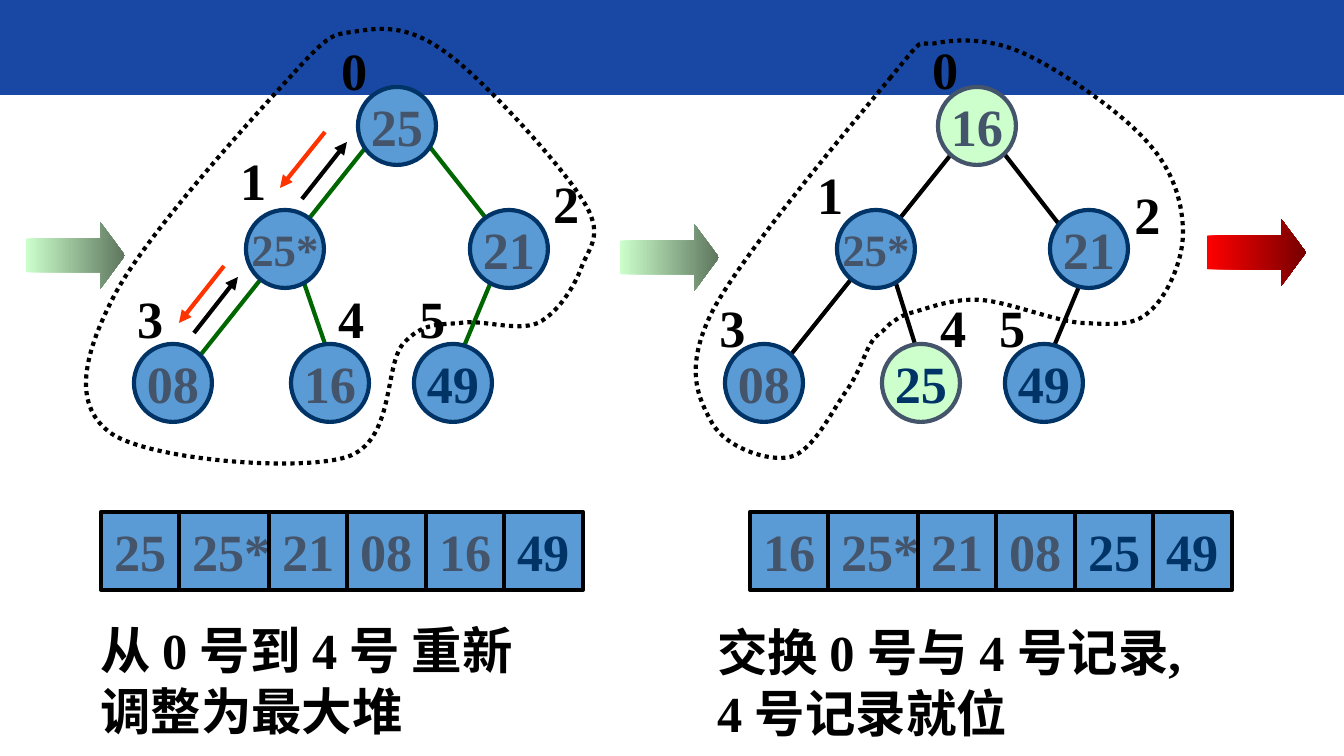
from lxml import etree
from pptx import Presentation
from pptx.dml.color import RGBColor
from pptx.enum.dml import MSO_LINE
from pptx.enum.shapes import MSO_CONNECTOR, MSO_SHAPE
from pptx.enum.text import MSO_ANCHOR, PP_ALIGN
from pptx.oxml.ns import qn
from pptx.util import Pt

RECT, OVAL, ARROW = MSO_SHAPE.RECTANGLE, MSO_SHAPE.OVAL, MSO_SHAPE.RIGHT_ARROW
STRAIGHT, DOTTED = MSO_CONNECTOR.STRAIGHT, MSO_LINE.ROUND_DOT
MIDDLE, CENTER, LEFT = MSO_ANCHOR.MIDDLE, PP_ALIGN.CENTER, PP_ALIGN.LEFT
EMU_PER_PX = 914400 / 134.4
FONT = "Times New Roman"
BLACK, NAVY, SLATE, BLUE, MINT = "000000", "003366", "44546A", "5B9BD5", "CCFFCC"
GREEN, ORANGE = "006600", "FF3300"
NODE = 78
DIVIDERS = [78, 168, 246, 325, 403]

LEFT_EDGES = [(493, 277, 460, 356), (426, 142, 515, 255),
              (302, 277, 325, 344), (370, 142, 191, 367)]
RIGHT_EDGES = [(1083, 277, 1050, 356), (995, 142, 1083, 255),
               (894, 277, 915, 344), (961, 142, 781, 367)]
LEFT_NODES = [("25", 358, 87, BLUE, SLATE), ("25*", 246, 210, BLUE, SLATE),
              ("21", 470, 210, BLUE, SLATE), ("08", 134, 344, BLUE, SLATE),
              ("16", 291, 344, BLUE, SLATE), ("49", 414, 344, BLUE, NAVY)]
RIGHT_NODES = [("16", 938, 87, MINT, SLATE), ("25*", 837, 210, BLUE, SLATE),
               ("21", 1050, 210, BLUE, SLATE), ("08", 725, 344, BLUE, SLATE),
               ("25", 882, 344, MINT, NAVY), ("49", 1005, 344, BLUE, NAVY)]
LEFT_LABELS = [(328, 32), (227, 142), (540, 165), (124, 280), (325, 280), (406, 280)]
RIGHT_LABELS = [(919, 31), (804, 156), (1121, 176), (706, 289), (927, 289), (986, 289)]
MOVES = [(194, 333, 238, 277, BLACK), (302, 199, 347, 142, BLACK),
         (325, 132, 280, 188, ORANGE), (224, 266, 179, 323, ORANGE)]
LEFT_OUTLINE = [
    (292, 75), (250, 121), (142, 239), (112, 300), (82, 359), (73, 407), (112, 434),
    (152, 460), (298, 472), (347, 457), (395, 441), (384, 367), (403, 344),
    (422, 323), (437, 325), (460, 323), (481, 319), (517, 332), (538, 323),
    (558, 313), (575, 286), (582, 266), (590, 246), (605, 234), (582, 199),
    (560, 164), (485, 81), (448, 54), (411, 26), (384, 27), (359, 31),
    (332, 35), (332, 31), (292, 75)]
RIGHT_OUTLINE = [
    (891, 77), (855, 121), (742, 254), (712, 312), (683, 370), (699, 399), (712, 423),
    (726, 448), (769, 462), (790, 457), (813, 452), (833, 409), (847, 390),
    (860, 371), (864, 355), (870, 345), (875, 336), (876, 337), (880, 333),
    (884, 331), (886, 327), (891, 323), (898, 319), (899, 316), (914, 312),
    (929, 308), (953, 298), (981, 300), (1009, 302), (1054, 321), (1082, 323),
    (1110, 324), (1133, 327), (1149, 312), (1167, 297), (1183, 261), (1183, 233),
    (1183, 206), (1175, 173), (1149, 144), (1124, 114), (1062, 71), (1025, 54),
    (991, 38), (958, 39), (937, 43), (914, 47), (929, 31), (891, 77)]


def px(n):
    """Turn pixels into EMU."""
    return round(n * EMU_PER_PX)


def rgb(color):
    """Turn a hex string into a colour."""
    return RGBColor.from_string(color)


def set_font(font, size, color):
    """Give a font the bold slide style."""
    font.name, font.size, font.bold = FONT, Pt(size), True
    font.color.rgb = rgb(color)


def set_line(line, color):
    """Colour a line of the common width."""
    line.color.rgb = rgb(color)
    line.width = Pt(2.25)


def add_shape(s, kind, x, y, w, h, fill=None, line=None):
    """Add a preset shape without a shadow."""
    sp = s.shapes.add_shape(kind, px(x), px(y), px(w), px(h))
    sp.shadow.inherit = False
    if fill:
        sp.fill.solid()
        sp.fill.fore_color.rgb = rgb(fill)
    if line:
        set_line(sp.line, line)
    else:
        sp.line.fill.background()
    return sp


def add_line(s, x1, y1, x2, y2, color=BLACK, arrow=False):
    """Add a straight line, with an arrowhead at its end if asked."""
    c = s.shapes.add_connector(STRAIGHT, px(x1), px(y1), px(x2), px(y2))
    set_line(c.line, color)
    if arrow:
        etree.SubElement(c.line._get_or_add_ln(), qn("a:tailEnd"), type="triangle")
    etree.SubElement(c._element.spPr, qn("a:effectLst"))


def add_node(s, text, x, y, fill, color):
    """Add a round tree node with its key."""
    sp = add_shape(s, OVAL, x, y, NODE, NODE, fill, SLATE if fill == MINT else NAVY)
    tf = sp.text_frame
    tf.word_wrap, tf.vertical_anchor = False, MIDDLE
    p = tf.paragraphs[0]
    p.text, p.alignment = text, CENTER
    set_font(p.font, 24 if len(text) > 2 else 28, color)


def add_text(s, x, y, w, h, lines, size):
    """Add a text box with one paragraph per line."""
    tf = s.shapes.add_textbox(px(x), px(y), px(w), px(h)).text_frame
    tf.word_wrap = False
    for i, text in enumerate(lines):
        p = tf.paragraphs[0] if i == 0 else tf.add_paragraph()
        p.text = text
        set_font(p.font, size, BLACK)


def add_array(s, x, keys, sorted_count):
    """Add the record array, its sorted tail in navy."""
    y, h = 512, 78
    sp = add_shape(s, RECT, x, y, 482, h, BLUE, BLACK)
    tf = sp.text_frame
    tf.word_wrap, tf.vertical_anchor = True, MIDDLE
    tf.margin_left, tf.margin_right = px(13), 0
    p = tf.paragraphs[0]
    p.alignment = LEFT
    tabs = etree.SubElement(p._p.get_or_add_pPr(), qn("a:tabLst"))
    for offset in DIVIDERS:
        etree.SubElement(tabs, qn("a:tab"), pos=str(px(offset)), algn="l")
        add_line(s, x + offset, y, x + offset, y + h)
    split = len(keys) - sorted_count
    for text, color in (("\t".join(keys[:split]) + "\t", SLATE),
                        ("\t".join(keys[split:]), NAVY)):
        r = p.add_run()
        r.text = text
        set_font(r.font, 28, color)


def add_outline(s, points):
    """Add a dotted closed curve through Bezier points."""
    builder = s.shapes.build_freeform(*points[0], scale=EMU_PER_PX)
    builder.add_line_segments(points[1:], close=True)
    sp = builder.convert_to_shape()
    sp.shadow.inherit = False
    sp.fill.background()
    set_line(sp.line, BLACK)
    sp.line.dash_style = DOTTED
    segments = list(sp._element.iter(qn("a:lnTo")))
    for i in range(0, len(segments), 3):
        curve = etree.Element(qn("a:cubicBezTo"))
        segments[i].addprevious(curve)
        for segment in segments[i:i + 3]:
            curve.append(segment[0])
            segment.getparent().remove(segment)


def add_block_arrow(s, x, y, start, end):
    """Add a block arrow with a left to right gradient."""
    sp = add_shape(s, ARROW, x, y, 99, 67)
    sp.adjustments[1] = 0.37
    sp.fill.gradient()
    sp.fill.gradient_angle = 0
    for stop, color, position in zip(sp.fill.gradient_stops, (start, end), (0, 1)):
        stop.color.rgb = rgb(color)
        stop.position = position


def add_tree(s, edges, edge_color, nodes, labels, outline):
    """Add a heap with its index labels and outline."""
    for edge in edges:
        add_line(s, *edge, edge_color)
    for node in nodes:
        add_node(s, *node)
    for i, (x, y) in enumerate(labels):
        add_text(s, x, y, 52, 77, [str(i)], 28)
    add_outline(s, outline)


def main():
    """Build the heap sort slide."""
    prs = Presentation()
    prs.slide_width, prs.slide_height = px(1344), px(756)
    s = prs.slides.add_slide(prs.slide_layouts[6])
    add_shape(s, RECT, 0, 0, 1344, 95, "1848A3")
    add_tree(s, LEFT_EDGES, GREEN, LEFT_NODES, LEFT_LABELS, LEFT_OUTLINE)
    add_tree(s, RIGHT_EDGES, BLACK, RIGHT_NODES, RIGHT_LABELS, RIGHT_OUTLINE)
    for move in MOVES:
        add_line(s, *move, arrow=True)
    add_array(s, 101, ["25", "25*", "21", "08", "16", "49"], 1)
    add_array(s, 750, ["16", "25*", "21", "08", "25", "49"], 2)
    add_text(s, 87, 613, 528, 134, ["从 0 号到 4 号 重新", "调整为最大堆"], 27)
    add_text(s, 704, 615, 578, 134, ["交换 0 号与 4 号记录,", "4 号记录就位"], 27)
    add_block_arrow(s, 26, 222, MINT, "5E765E")
    add_block_arrow(s, 620, 224, MINT, "5E765E")
    add_block_arrow(s, 1207, 219, "FF0000", "760000")
    prs.save("out.pptx")


if __name__ == "__main__":
    main()
